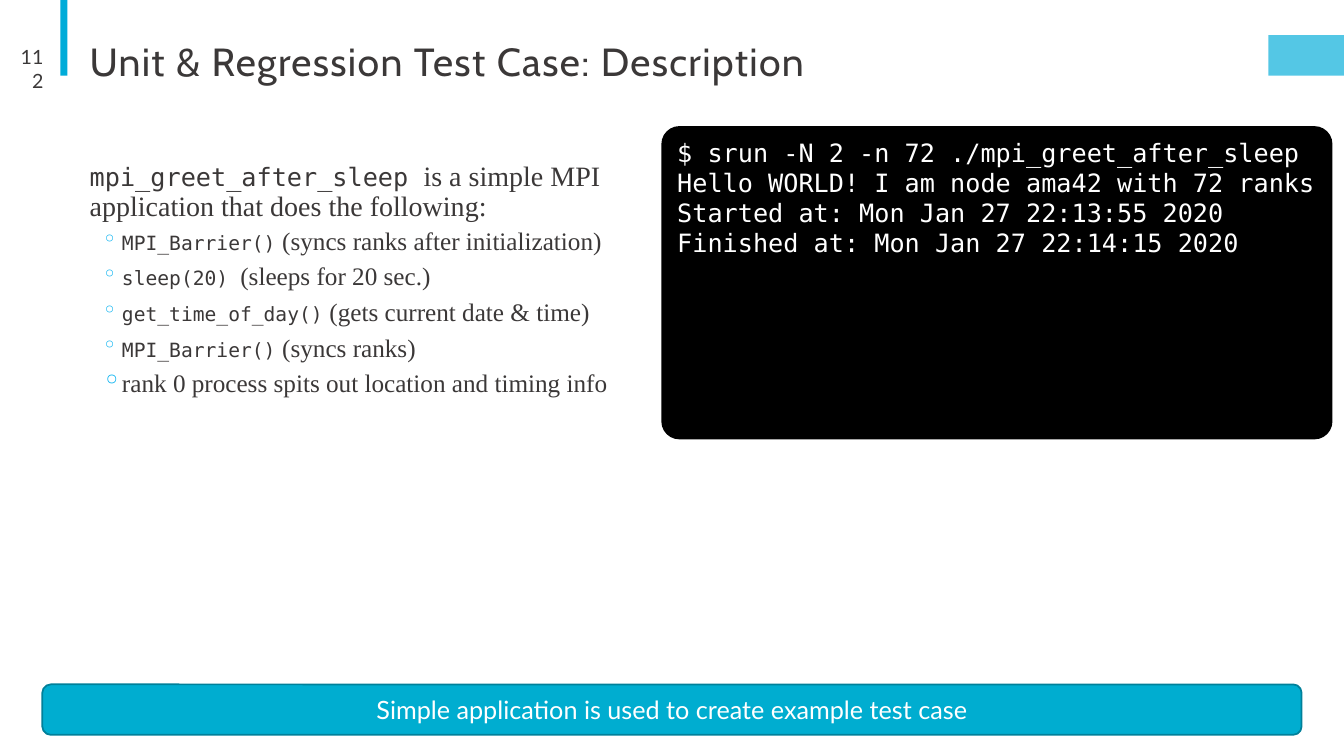
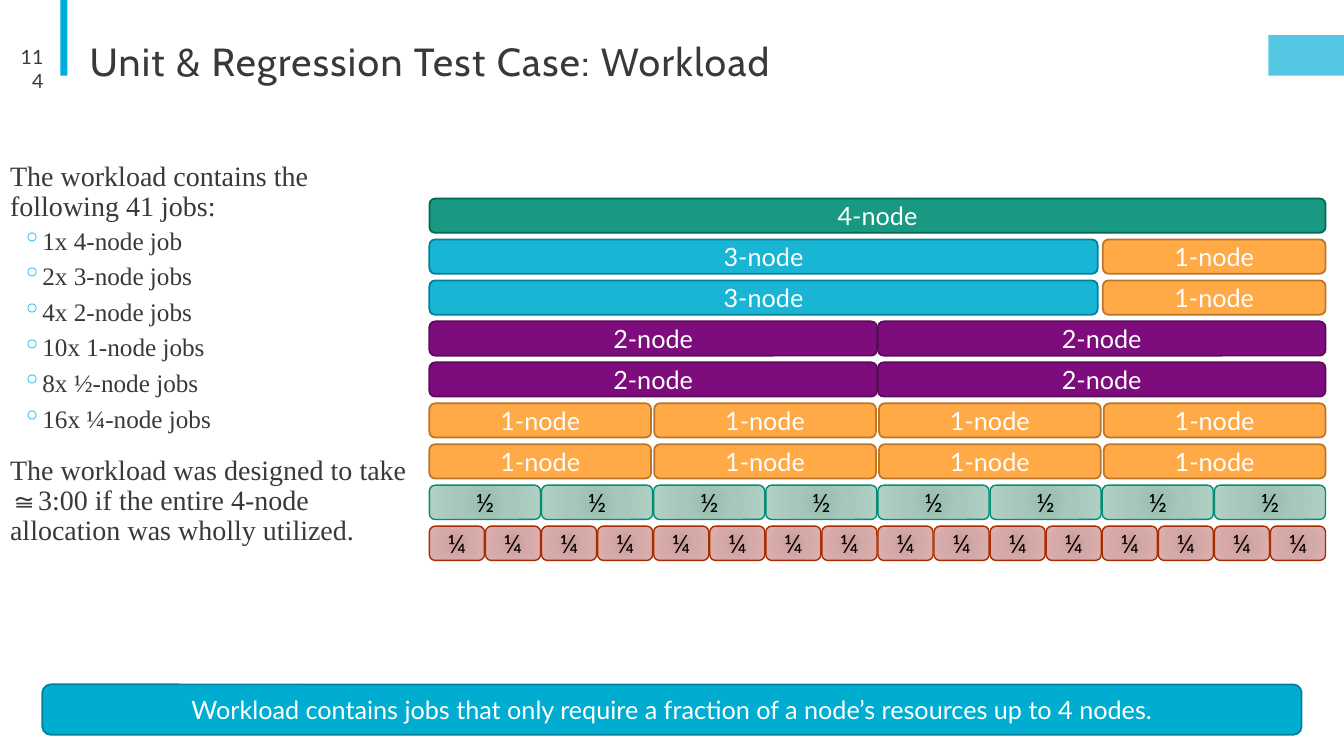
import dataclasses

import lxml.etree
import pptx
import pptx.dml.color
import pptx.enum.shapes
import pptx.enum.text
import pptx.oxml.ns
import pptx.util

qn = pptx.oxml.ns.qn
ALIGN = pptx.enum.text.PP_ALIGN
ANCHOR = pptx.enum.text.MSO_ANCHOR
SHAPE = pptx.enum.shapes.MSO_SHAPE

# Grid: one column or row is a tenth of an inch
COLS, ROWS = 133.33, 75


def grid(n):
    return pptx.util.Inches(n / 10)


@dataclasses.dataclass(frozen=True)
class Paint:
    """Fill, outline and text colour of a box."""
    fill: object  # one colour, or a tuple of three gradient colours
    line: str = None
    text: str = "FFFFFF"
    opacity: int = 100
    width: float = 1.25


@dataclasses.dataclass(frozen=True)
class Theme:
    ink: str = "3B3838"
    bullet: str = "00B0F0"
    title_font: str = "Cabin"
    label_font: str = "Lato"
    body_font: str = "Times New Roman"
    code_font: str = "DejaVu Sans Mono"
    title: int = 28
    lead: int = 20
    label: int = 18
    small: int = 14
    accent: Paint = Paint("00ACD9")
    tag: Paint = Paint("00ACD9", opacity=67)
    banner: Paint = Paint("00ADD0", "00809A")
    terminal: Paint = Paint("000000", "000000")
    four: Paint = Paint("008E74", "006956", opacity=90)
    three: Paint = Paint("00ADD0", "00809A", opacity=90)
    two: Paint = Paint("7D0D7C", "5C0A5C")
    one: Paint = Paint("FFA033", "BD7626", opacity=90)
    half: Paint = Paint(("97BDB0", "A8C7BC", "B0D0C4"), "008E74", "000000", width=1)
    quarter: Paint = Paint(("CC9896", "D4A9A7", "DCB0AE"), "A92C00", "000000", width=1)


T = Theme()


def rgb(value):
    return pptx.dml.color.RGBColor.from_string(value)


def set_font(font, name, size, color):
    font.name, font.size = name, pptx.util.Pt(size)
    font.color.rgb = rgb(color)


def child(parent, tag, **attrs):
    return lxml.etree.SubElement(parent, qn(tag), **attrs)


def radial_fill(sp, colors):
    solid = sp._element.spPr.find(qn("a:solidFill"))
    fill = lxml.etree.Element(qn("a:gradFill"), rotWithShape="1")
    stops = child(fill, "a:gsLst")
    for pos, color in zip((0, 45, 100), colors):
        child(child(stops, "a:gs", pos=str(pos * 1000)), "a:srgbClr", val=color)
    rim = child(fill, "a:path", path="circle")
    child(rim, "a:fillToRect", **dict.fromkeys("ltrb", "100000"))
    solid.getparent().replace(solid, fill)


def add_box(s, box, paint, kind=SHAPE.ROUNDED_RECTANGLE):
    sp = s.shapes.add_shape(kind, *map(grid, box))
    sp.shadow.inherit = False
    sp.fill.solid()
    if isinstance(paint.fill, tuple):
        radial_fill(sp, paint.fill)
    else:
        sp.fill.fore_color.rgb = rgb(paint.fill)
        if paint.opacity < 100:
            color = sp._element.spPr.find(qn("a:solidFill"))[0]
            child(color, "a:alpha", val=str(paint.opacity * 1000))
    if paint.line:
        sp.line.color.rgb = rgb(paint.line)
        sp.line.width = pptx.util.Pt(paint.width)
    else:
        sp.line.fill.background()
    return sp


def add_label(s, box, text, paint):
    sp = add_box(s, box, paint)
    sp.text_frame.vertical_anchor = ANCHOR.MIDDLE
    p = sp.text_frame.paragraphs[0]
    p.text, p.alignment = text, ALIGN.CENTER
    set_font(p.font, T.label_font, T.label, paint.text)


def add_text(s, box):
    tf = s.shapes.add_textbox(*map(grid, box)).text_frame
    tf.word_wrap = True
    return tf


def frame(prs, title, number, message):
    """New slide with the title band, page number and bottom banner."""
    s = prs.slides.add_slide(prs.slide_layouts[6])
    add_box(s, (6, 0, 0.7, 7.5), T.accent, SHAPE.RECTANGLE)
    add_box(s, (COLS - 7.5, 3.5, 7.5, 4), T.tag, SHAPE.RECTANGLE)

    p = add_text(s, (7.9, 3.9, 110, 6.2)).paragraphs[0]
    p.text, p.line_spacing = title, 0.85
    set_font(p.font, T.title_font, T.title, T.ink)
    p.runs[0]._r.get_or_add_rPr().set("spc", "100")

    tf = add_text(s, (0.7, 4.8, 4.6, 4))
    tf.vertical_anchor = ANCHOR.MIDDLE
    p = tf.paragraphs[0]
    p.text, p.alignment = number, ALIGN.RIGHT
    set_font(p.font, T.label_font, T.small, T.ink)

    add_label(s, (4.2, 67.9, COLS - 8.4, 5), message, T.banner)
    return s


def body(s, box, items):
    """Body text; each item is (is_bullet, code, text)."""
    tf = add_text(s, box)
    tf.margin_left = tf.margin_right = 0
    for i, (is_bullet, code, text) in enumerate(items):
        p = tf.paragraphs[0] if i == 0 else tf.add_paragraph()
        pPr = p._p.get_or_add_pPr()
        pPr.set("marL", str(grid(4.2 if is_bullet else 1)))
        if is_bullet:
            pPr.set("indent", str(grid(-2)))
            child(child(pPr, "a:buClr"), "a:srgbClr", val=T.bullet)
            child(pPr, "a:buChar", char="◦")
        p.line_spacing = 0.9
        p.space_after = pptx.util.Pt(4 if is_bullet else 2)
        if i:
            p.space_before = pptx.util.Pt(2 if is_bullet else 12)
        size = T.label if is_bullet else T.lead
        if code:
            code_size = T.small if is_bullet else T.label
            for part, name, points in ((code, T.code_font, code_size),
                                       (text, T.body_font, size)):
                r = p.add_run()
                r.text = part
                set_font(r.font, name, points, T.ink)
        else:
            p.text = text
            set_font(p.font, T.body_font, size, T.ink)


def terminal(s, box, lines):
    sp = add_box(s, box, T.terminal)
    sp.adjustments[0] = 0.055
    tf = sp.text_frame
    tf.vertical_anchor = ANCHOR.TOP
    for i, line in enumerate(lines):
        p = tf.paragraphs[0] if i == 0 else tf.add_paragraph()
        p.text, p.alignment = line, ALIGN.LEFT
        set_font(p.font, T.code_font, T.label, T.terminal.text)


def job_chart(s, box, rows, bar_height=3.4):
    """Rows of job bars; each row is (gap, [(nodes, label, paint), ...])."""
    left, top, width, height = box
    pitch = (height - bar_height) / (len(rows) - 1)
    for i, (gap, jobs) in enumerate(rows):
        per_node = (width - gap * (len(jobs) - 1)) / sum(job[0] for job in jobs)
        x = left
        for nodes, label, paint in jobs:
            w = nodes * per_node
            add_label(s, (x, top + i * pitch, w, bar_height), label, paint)
            x += w + gap


def description_slide(prs):
    s = frame(prs, "Unit & Regression Test Case: Description", "112",
              "Simple application is used to create example test case")
    body(s, (7.9, 15.6, 57.8, 27.9), [
        (False, "mpi_greet_after_sleep ",
         "is a simple MPI application that does the following:"),
        (True, "MPI_Barrier()", " (syncs ranks after initialization)"),
        (True, "sleep(20) ", "(sleeps for 20 sec.)"),
        (True, "get_time_of_day()", " (gets current date & time)"),
        (True, "MPI_Barrier()", " (syncs ranks)"),
        (True, "", "rank 0 process spits out location and timing info"),
    ])
    terminal(s, (65.7, 12.6, 66.4, 30.9), [
        "$ srun -N 2 -n 72 ./mpi_greet_after_sleep",
        "Hello WORLD! I am node ama42 with 72 ranks",
        "Started at: Mon Jan 27 22:13:55 2020",
        "Finished at: Mon Jan 27 22:14:15 2020",
    ])


def workload_slide(prs):
    s = frame(prs, "Unit & Regression Test Case: Workload", "114",
              "Workload contains jobs that only require a fraction of "
              "a node’s resources up to 4 nodes.")
    jobs = ["1x 4-node job", "2x 3-node jobs", "4x 2-node jobs",
            "10x 1-node jobs", "8x ½-node jobs", "16x ¼-node jobs"]
    body(s, (0, 15.6, 42.1, 48), [
        (False, "", "The workload contains the following 41 jobs:"),
        *((True, "", job) for job in jobs),
        (False, "", "The workload was designed to take ≅3:00 if the entire "
                    "4-node allocation was wholly utilized."),
    ])
    four, three = (4, "4-node", T.four), (3, "3-node", T.three)
    two, one = (2, "2-node", T.two), (1, "1-node", T.one)
    half, quarter = (0.5, "½", T.half), (0.25, "¼", T.quarter)
    job_chart(s, (42.6, 19.7, 88.9, 35.9), [
        (0, [four]),
        *[(0.5, [three, one])] * 2,
        *[(0.1, [two] * 2)] * 2,
        *[(0.3, [one] * 4)] * 2,
        (0.1, [half] * 8),
        (0.1, [quarter] * 16),
    ])


def main():
    prs = pptx.Presentation()
    prs.slide_width, prs.slide_height = grid(COLS), grid(ROWS)
    description_slide(prs)
    workload_slide(prs)
    prs.save("out.pptx")


if __name__ == "__main__":
    main()
